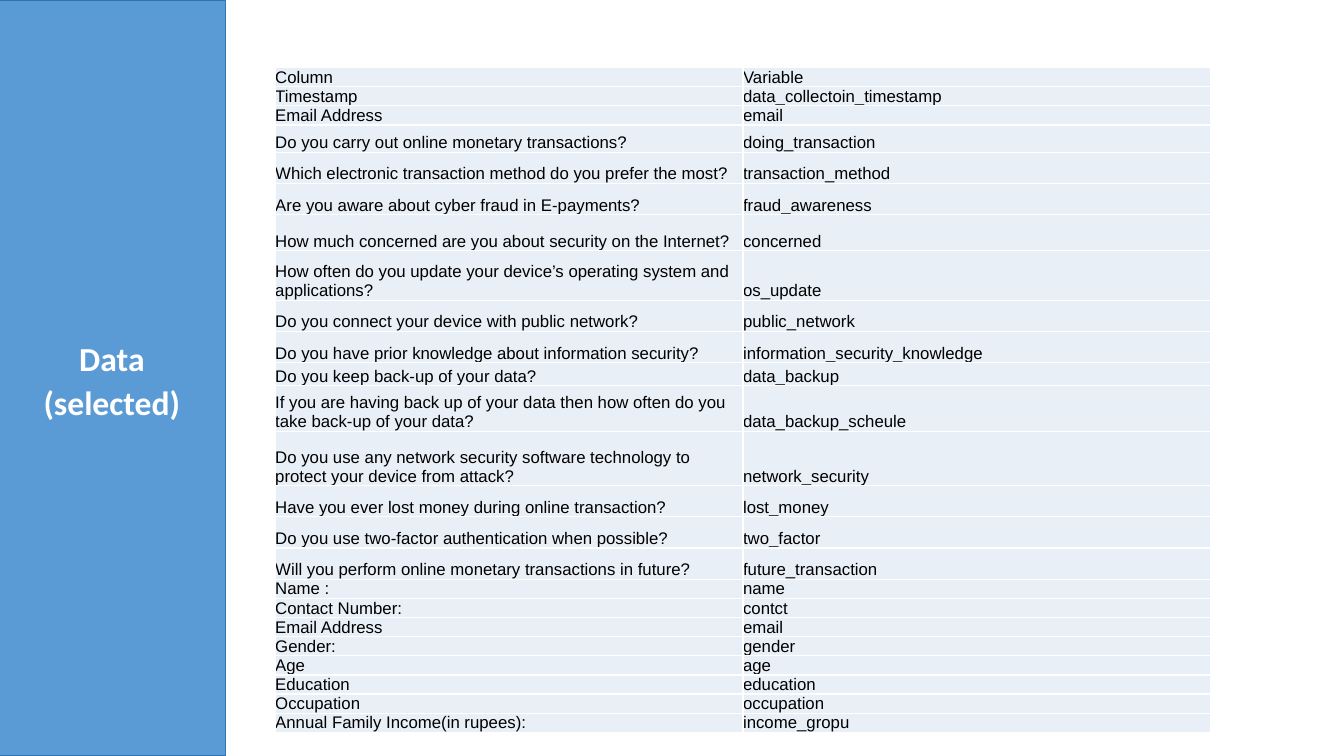
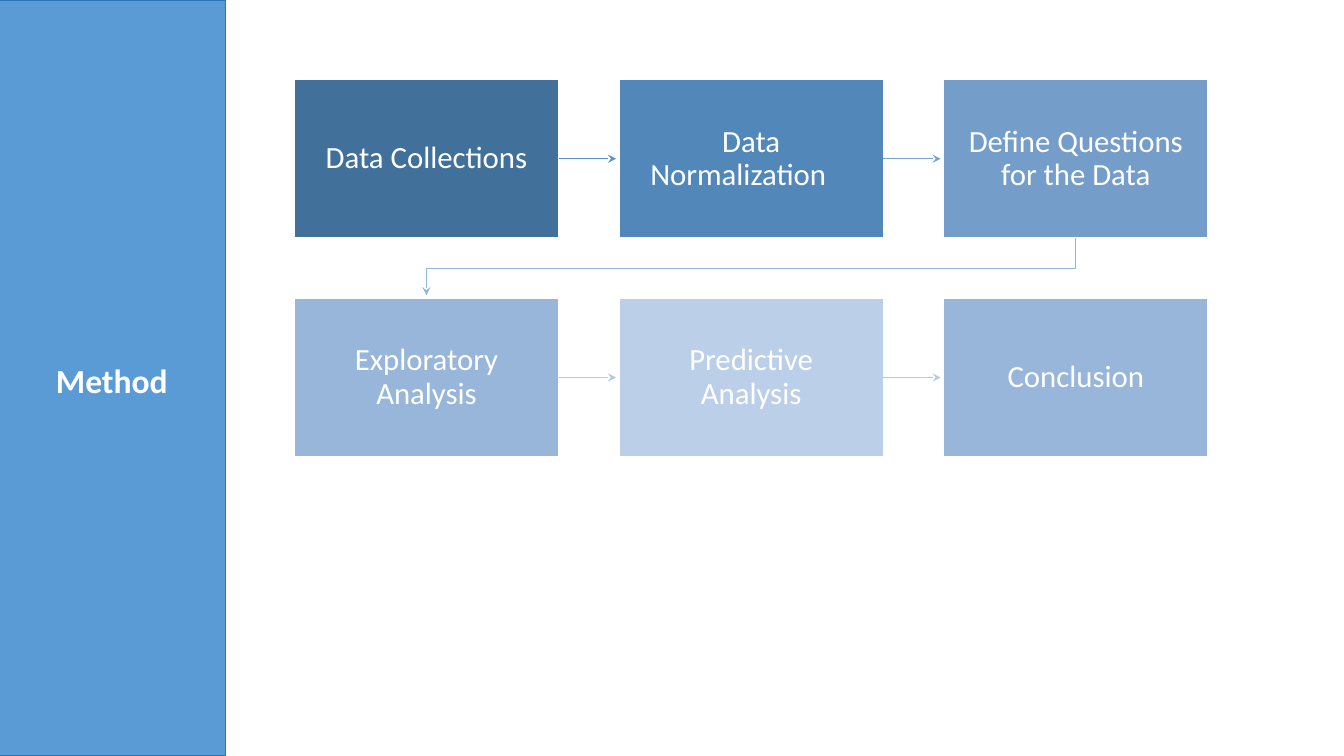
import lxml.etree
import pptx
import pptx.dml.color
import pptx.enum.shapes
import pptx.enum.text
import pptx.oxml.ns
import pptx.util

Inches = pptx.util.Inches
Pt = pptx.util.Pt
qn = pptx.oxml.ns.qn
RECTANGLE = pptx.enum.shapes.MSO_SHAPE.RECTANGLE

COLORS = {
    "band": "5B9BD5", "band_line": "2E75B5", "white": "FFFFFF",
    "black": "000000", "cell": "E9EFF7",
    "navy": "41709B", "blue": "5287BA", "steel": "749DCA",
    "light": "97B6DA", "pale": "BBCFE8",
    "arrow_1": "5593CB", "arrow_2": "74A3D2", "arrow_3": "93B5DB",
    "arrow_4": "B2C9E5",
}
color = {name: pptx.dml.color.RGBColor.from_string(value)
         for name, value in COLORS.items()}


def write_text(frame, text, size, font="Calibri", ink="white", bold=False,
               align="CENTER", spacing=1.0, inset=None):
    frame.word_wrap = True
    if inset is not None:
        frame.margin_left = frame.margin_right = Inches(inset)
        frame.margin_top = frame.margin_bottom = Inches(inset)
    paragraph = frame.paragraphs[0]
    paragraph.alignment = getattr(pptx.enum.text.PP_ALIGN, align)
    paragraph.line_spacing = spacing
    run = paragraph.add_run()
    run.text = text
    run.font.size = Pt(size)
    run.font.name = font
    run.font.bold = bold
    run.font.color.rgb = color[ink]


def style_arrow(arrow, ink):
    arrow.line.color.rgb = color[ink]
    arrow.line.width = Pt(0.75)
    line = arrow.line._get_or_add_ln()
    lxml.etree.SubElement(line, qn("a:tailEnd"), type="stealth")
    lxml.etree.SubElement(arrow._element.spPr, qn("a:effectLst"))


presentation = pptx.Presentation()
presentation.slide_width = Inches(13.33)
presentation.slide_height = Inches(7.5)

# Slides with their title band
slides = []
for title in ["Data (selected)", "Method"]:
    slide = presentation.slides.add_slide(presentation.slide_layouts[6])
    band = slide.shapes.add_shape(
        RECTANGLE, Inches(-0.02), 0, Inches(2.26), Inches(7.5))
    band.shadow.inherit = False
    band.fill.solid()
    band.fill.fore_color.rgb = color["band"]
    band.line.color.rgb = color["band_line"]
    band.line.width = Pt(1)
    band.text_frame.vertical_anchor = pptx.enum.text.MSO_ANCHOR.MIDDLE
    write_text(band.text_frame, title, 24, bold=True, spacing=1.1)
    slides.append(slide)
data_slide, method_slide = slides

# Data table: question, variable, row height
ONE_LINE = 0.19
SPACED = 0.31
rows = [
    ("Column", "Variable", ONE_LINE),
    ("Timestamp", "data_collectoin_timestamp", ONE_LINE),
    ("Email Address", "email", ONE_LINE),
    ("Do you carry out online monetary transactions?", "doing_transaction", 0.27),
    ("Which electronic transaction method do you prefer the most?",
     "transaction_method", SPACED),
    ("Are you aware about cyber fraud in E-payments?", "fraud_awareness", SPACED),
    ("How much concerned are you about security on the Internet?",
     "concerned", 0.36),
    ("How often do you update your device’s operating system and applications?",
     "os_update", 0.49),
    ("Do you connect your device with public network?", "public_network", SPACED),
    ("Do you have prior knowledge about information security?",
     "information_security_knowledge", SPACED),
    ("Do you keep back-up of your data?", "data_backup", 0.23),
    ("If you are having back up of your data then how often do you take "
     "back-up of your data?", "data_backup_scheule", 0.45),
    ("Do you use any network security software technology to protect your "
     "device from attack?", "network_security", 0.54),
    ("Have you ever lost money during online transaction?", "lost_money", SPACED),
    ("Do you use two-factor authentication when possible?", "two_factor", SPACED),
    ("Will you perform online monetary transactions in future?",
     "future_transaction", SPACED),
    ("Name :", "name", ONE_LINE),
    ("Contact Number:", "contct", ONE_LINE),
    ("Email Address", "email", ONE_LINE),
    ("Gender:", "gender", ONE_LINE),
    ("Age", "age", ONE_LINE),
    ("Education", "education", ONE_LINE),
    ("Occupation", "occupation", ONE_LINE),
    ("Annual Family Income(in rupees):", "income_gropu", ONE_LINE),
]
table = data_slide.shapes.add_table(
    len(rows), 2, Inches(2.73), Inches(0.67), Inches(9.28),
    Inches(sum(row[2] for row in rows))).table
table.first_row = False
table.horz_banding = False
for row_index, (question, variable, height) in enumerate(rows):
    table.rows[row_index].height = Inches(height)
    for column_index, text in enumerate([question, variable]):
        cell = table.cell(row_index, column_index)
        cell.margin_left = cell.margin_right = 0
        cell.margin_top = cell.margin_bottom = 0
        cell.vertical_anchor = pptx.enum.text.MSO_ANCHOR.BOTTOM
        # White borders come before the fill in the cell properties
        for side in ["lnL", "lnR", "lnT", "lnB"]:
            border = lxml.etree.SubElement(
                cell._tc.get_or_add_tcPr(), qn("a:" + side), w=str(Pt(1)))
            border_fill = lxml.etree.SubElement(border, qn("a:solidFill"))
            lxml.etree.SubElement(
                border_fill, qn("a:srgbClr"), val=COLORS["white"])
        cell.fill.solid()
        cell.fill.fore_color.rgb = color["cell"]
        write_text(cell.text_frame, text, 12, font="Arial", ink="black",
                   align="LEFT")

# Method steps: text, box colour, colour of the arrow to the next step
steps = [
    ("Data Collections", "navy", "arrow_1"),
    ("Data Normalization\t", "blue", "arrow_2"),
    ("Define Questions for the Data", "steel", "arrow_3"),
    ("Exploratory Analysis", "light", "arrow_4"),
    ("Predictive Analysis", "pale", "arrow_4"),
    ("Conclusion", "light", None),
]
COLUMNS = 3
LEFT, TOP = 2.92, 0.79
BOX_WIDTH, BOX_HEIGHT = 2.62, 1.57
STEP_X, STEP_Y = 3.22, 2.17
ARROW_LENGTH = 0.57

for index, (text, fill, arrow_ink) in enumerate(steps):
    row, column = divmod(index, COLUMNS)
    left = LEFT + column * STEP_X
    top = TOP + row * STEP_Y
    right, bottom = left + BOX_WIDTH, top + BOX_HEIGHT
    box = method_slide.shapes.add_shape(
        RECTANGLE, Inches(left), Inches(top),
        Inches(BOX_WIDTH), Inches(BOX_HEIGHT))
    box.shadow.inherit = False
    box.fill.solid()
    box.fill.fore_color.rgb = color[fill]
    box.line.color.rgb = color["white"]
    box.line.width = Pt(1)
    box.text_frame.vertical_anchor = pptx.enum.text.MSO_ANCHOR.MIDDLE
    write_text(box.text_frame, text, 22, spacing=0.9, inset=0.17)

    if arrow_ink is None:
        continue
    if column < COLUMNS - 1:
        middle = Inches(top + BOX_HEIGHT / 2)
        arrow = method_slide.shapes.add_connector(
            pptx.enum.shapes.MSO_CONNECTOR.STRAIGHT,
            Inches(right), middle, Inches(right + ARROW_LENGTH), middle)
    else:
        # Bent arrow from the end of one row to the start of the next
        start_x = left + BOX_WIDTH / 2
        end_x = LEFT + BOX_WIDTH / 2
        bend_y = bottom + 0.3
        builder = method_slide.shapes.build_freeform(
            Inches(start_x), Inches(bottom))
        builder.add_line_segments(
            [(Inches(x), Inches(y)) for x, y in [
                (start_x, bend_y), (end_x, bend_y),
                (end_x, bottom + ARROW_LENGTH)]],
            close=False)
        arrow = builder.convert_to_shape()
        arrow.fill.background()
    style_arrow(arrow, arrow_ink)

presentation.save("out.pptx")
